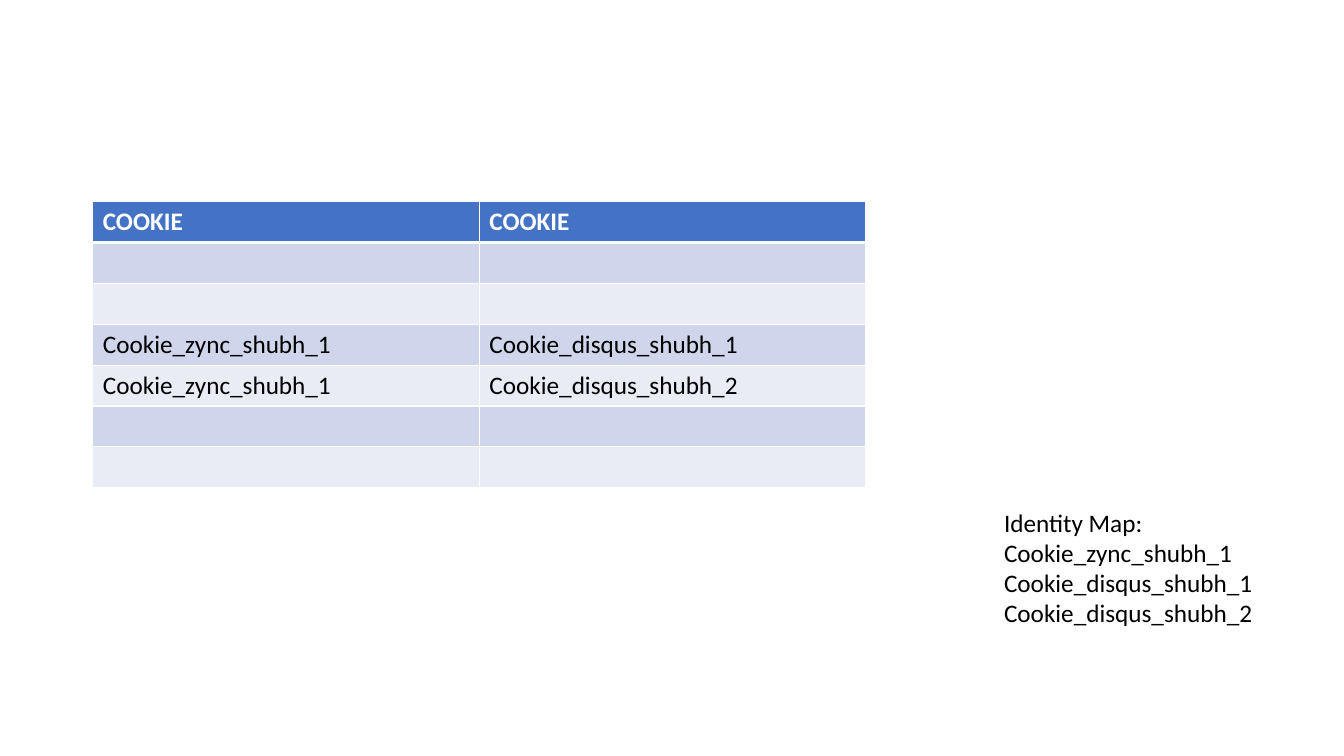
"""Build a slide with a cookie matching table and its identity map."""
from dataclasses import dataclass

from lxml.etree import SubElement
from pptx import Presentation
from pptx.dml.color import RGBColor
from pptx.enum.text import MSO_AUTO_SIZE as AutoSize
from pptx.oxml.ns import qn
from pptx.util import Inches, Pt


@dataclass(frozen=True)
class Theme:
    font: str = "Calibri"
    size: int = 18
    text: str = "000000"
    header_text: str = "FFFFFF"
    header_fill: str = "4472C4"
    bands: tuple = ("CFD5EA", "E9EBF5")
    border: str = "FFFFFF"


theme = Theme()


def style_text(paragraph, color, bold=False):
    for font in [paragraph.font] + [run.font for run in paragraph.runs]:
        font.name = theme.font
        font.size = Pt(theme.size)
        font.bold = bold
        font.color.rgb = RGBColor.from_string(color)


def add_borders(cell, bottom_width):
    properties = cell._tc.get_or_add_tcPr()
    for side, width in (("L", 1), ("R", 1), ("T", 1), ("B", bottom_width)):
        line = SubElement(properties, qn(f"a:ln{side}"), w=str(Pt(width)))
        fill = SubElement(line, qn("a:solidFill"))
        SubElement(fill, qn("a:srgbClr"), val=theme.border)


presentation = Presentation()
presentation.slide_width = Inches(13.33)
presentation.slide_height = Inches(7.5)
slide = presentation.slides.add_slide(presentation.slide_layouts[6])

cookie_rows = [
    ("COOKIE", "COOKIE"),
    ("", ""),
    ("", ""),
    ("Cookie_zync_shubh_1", "Cookie_disqus_shubh_1"),
    ("Cookie_zync_shubh_1", "Cookie_disqus_shubh_2"),
    ("", ""),
    ("", ""),
]
cookie_table = slide.shapes.add_table(
    len(cookie_rows), 2, Inches(0.92), Inches(2), Inches(7.67), Inches(2.84)
).table

for row_index, row in enumerate(cookie_rows):
    is_header = row_index == 0
    fill_color = theme.header_fill if is_header else theme.bands[(row_index - 1) % 2]
    for column_index, text in enumerate(row):
        cell = cookie_table.cell(row_index, column_index)
        add_borders(cell, 3 if is_header else 1)
        cell.fill.solid()
        cell.fill.fore_color.rgb = RGBColor.from_string(fill_color)
        paragraph = cell.text_frame.paragraphs[0]
        paragraph.text = text
        style_text(paragraph, theme.header_text if is_header else theme.text, is_header)

identity_map = slide.shapes.add_textbox(Inches(9.86), Inches(4.98), Inches(2.69), Inches(1.62))
text_frame = identity_map.text_frame
text_frame.word_wrap = False
text_frame.auto_size = AutoSize.SHAPE_TO_FIT_TEXT
text_frame.text = "Identity Map:\nCookie_zync_shubh_1\vCookie_disqus_shubh_1\nCookie_disqus_shubh_2"
for paragraph in text_frame.paragraphs:
    style_text(paragraph, theme.text)

presentation.save("out.pptx")
